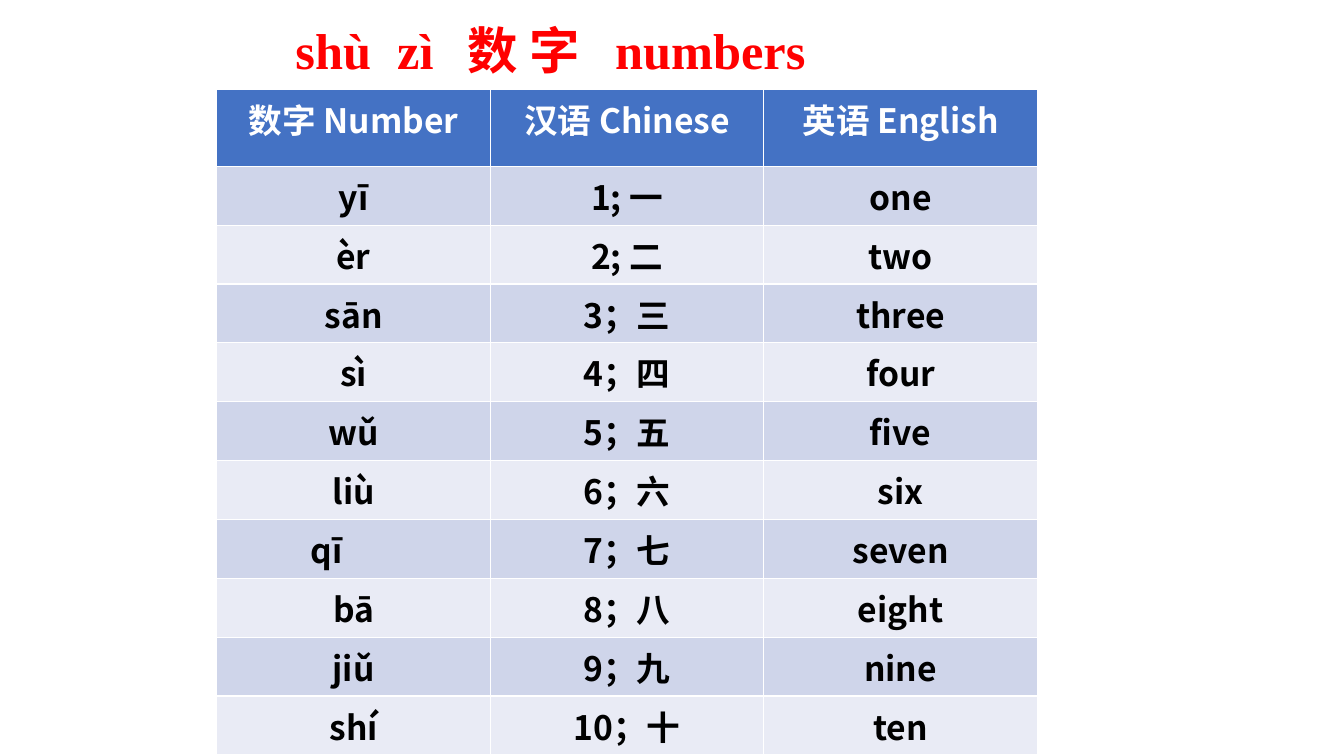
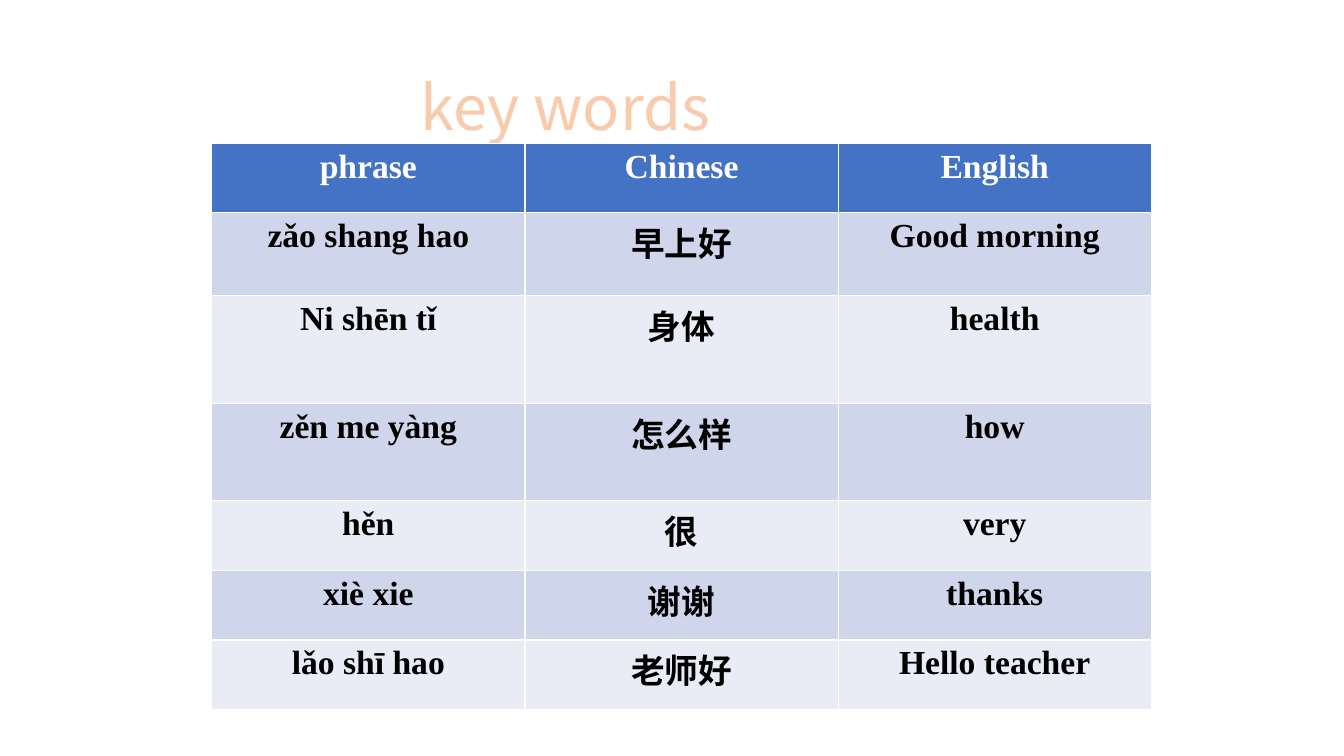
from lxml import etree
from pptx import Presentation
from pptx.dml.color import RGBColor
from pptx.enum.text import MSO_ANCHOR, MSO_AUTO_SIZE, PP_ALIGN
from pptx.oxml.ns import qn
from pptx.util import Inches, Pt

SANS, SERIF = "Noto Sans CJK SC", "Times New Roman"
WHITE, BLACK, RED = "FFFFFF", "000000", "FF0000"
HEADER_FILL, BAND_FILLS = "4472C4", ("CFD5EA", "E9EBF5")
PEACH, ORANGE = "F8CBAD", "ED7D31"
CELL_SIZE = 24

NUMBERS = {
    "title": {
        "box": (2.83, 0.09, 9.75, 0.87), "size": 36, "color": RED, "bold": True,
        "runs": [("shù\tzì\t", SERIF), ("数 字\t", SANS), ("numbers", SERIF)],
        "tabs": (1.01, 1.71, 3.17),
    },
    "place": (2.15, 0.89, 8.14),
    "row_heights": [0.76] + [0.53] * 10,
    "column_fonts": (SANS, SANS, SANS),
    "header_font": SANS,
    "rows": [
        ("数字 Number", "汉语 Chinese", "英语 English"),
        ("yī", "1; 一", "one"),
        ("èr", "2; 二", "two"),
        ("sān", "3；三", "three"),
        ("sì", "4；四", "four"),
        ("wǔ", "5；五", "five"),
        ("liù", "6；六", "six"),
        ("qī", "7；七", "seven"),
        ("bā", "8；八", "eight"),
        ("jiǔ", "9；九", "nine"),
        ("shí", "10；十", "ten"),
    ],
    "right_margins": {"qī": 0.64},
}

KEY_WORDS = {
    "title": {
        "box": (4.07, 0.46, 4.43, 1.28), "size": 44, "color": PEACH, "bold": False,
        "runs": [("key words", SANS)], "outline": (ORANGE, 1.75),
    },
    "place": (2.1, 1.42, 9.32),
    "row_heights": [0.69, 0.82, 1.07, 0.97, 0.69, 0.69, 0.69],
    "column_fonts": (SERIF, SANS, SERIF),
    "header_font": SERIF,
    "rows": [
        ("phrase", "Chinese", "English"),
        ("zǎo shang hao", "早上好", "Good morning"),
        ("Ni shēn tǐ", "身体", "health"),
        ("zěn me yàng", "怎么样", "how"),
        ("hěn", "很", "very"),
        ("xiè xie", "谢谢", "thanks"),
        ("lǎo shī hao", "老师好", "Hello teacher"),
    ],
    "right_margins": {},
}


def rgb(value):
    return RGBColor.from_string(value)


def add_run(paragraph, text, typeface, size, color, bold):
    run = paragraph.add_run()
    run.text = text
    font = run.font
    font.size, font.bold, font.name = Pt(size), bold, typeface
    font.color.rgb = rgb(color)
    east_asian = etree.SubElement(run._r.get_or_add_rPr(), qn("a:ea"))
    east_asian.set("typeface", typeface)
    return run


def outline_text(run, color, width):
    line = etree.Element(qn("a:ln"), w=str(Pt(width)))
    fill = etree.SubElement(line, qn("a:solidFill"))
    etree.SubElement(fill, qn("a:srgbClr"), val=color)
    run._r.get_or_add_rPr().insert(0, line)


def set_tabs(paragraph, stops):
    tab_list = etree.SubElement(paragraph._p.get_or_add_pPr(), qn("a:tabLst"))
    for stop in stops:
        etree.SubElement(tab_list, qn("a:tab"), pos=str(Inches(stop)), algn="l")


def fill_title(title, content):
    title.left, title.top, title.width, title.height = map(Inches, content["box"])
    frame = title.text_frame
    frame.word_wrap = True
    frame.auto_size = MSO_AUTO_SIZE.NONE
    frame.vertical_anchor = MSO_ANCHOR.MIDDLE
    paragraph = frame.paragraphs[0]
    set_tabs(paragraph, content.get("tabs", ()))
    paragraph.alignment = PP_ALIGN.LEFT
    paragraph.line_spacing = 0.9
    for text, typeface in content["runs"]:
        run = add_run(paragraph, text, typeface, content["size"],
                      content["color"], content["bold"])
        if "outline" in content:
            outline_text(run, *content["outline"])


def add_word_table(slide, content):
    rows, heights = content["rows"], content["row_heights"]
    left, top, width = content["place"]
    table = slide.shapes.add_table(
        len(rows), len(rows[0]), Inches(left), Inches(top),
        Inches(width), Inches(sum(heights))).table
    for row, height in zip(table.rows, heights):
        row.height = Inches(height)
    for row_index, words in enumerate(rows):
        is_header = row_index == 0
        fill = HEADER_FILL if is_header else BAND_FILLS[(row_index - 1) % 2]
        for column, word in enumerate(words):
            cell = table.cell(row_index, column)
            cell.fill.solid()
            cell.fill.fore_color.rgb = rgb(fill)
            if word in content["right_margins"]:
                cell.margin_right = Inches(content["right_margins"][word])
            paragraph = cell.text_frame.paragraphs[0]
            paragraph.alignment = PP_ALIGN.CENTER
            typeface = content["header_font" if is_header else "column_fonts"]
            if not is_header:
                typeface = typeface[column]
            add_run(paragraph, word, typeface, CELL_SIZE,
                    WHITE if is_header else BLACK, True)


def main():
    deck = Presentation()
    deck.slide_width, deck.slide_height = Inches(13.33), Inches(7.5)
    title_only = deck.slide_layouts[5]
    for content in (NUMBERS, KEY_WORDS):
        slide = deck.slides.add_slide(title_only)
        fill_title(slide.shapes.title, content["title"])
        add_word_table(slide, content)
    deck.save("out.pptx")


if __name__ == "__main__":
    main()
